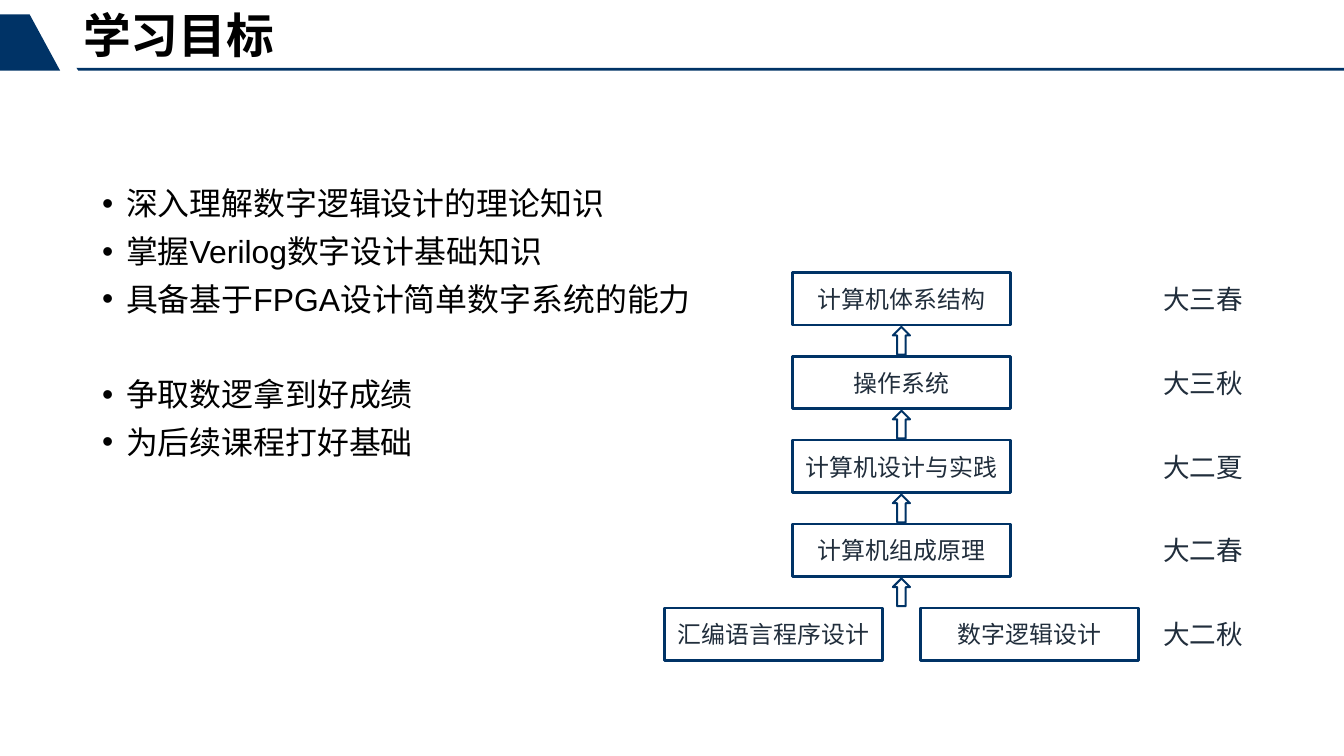
from lxml import etree
from pptx import Presentation
from pptx.dml.color import RGBColor
from pptx.enum.shapes import MSO_SHAPE as Shape
from pptx.enum.text import MSO_ANCHOR as Anchor, MSO_AUTO_SIZE as AutoSize, PP_ALIGN as Align
from pptx.oxml.ns import qn
from pptx.util import Inches, Pt

NAVY = RGBColor(0x00, 0x33, 0x66)
INK = RGBColor(0x21, 0x2E, 0x3C)
BLACK = RGBColor(0x00, 0x00, 0x00)
WHITE = RGBColor(0xFF, 0xFF, 0xFF)
CJK_FONT = "Noto Sans CJK SC"
SLIDE_W, SLIDE_H = 14.06, 7.91

# Goals in groups, separated by a wider gap
GOALS = [
    ["深入理解数字逻辑设计的理论知识", "掌握Verilog数字设计基础知识", "具备基于FPGA设计简单数字系统的能力"],
    ["争取数逻拿到好成绩", "为后续课程打好基础"],
]
# Semesters from latest to earliest, with their courses
COURSES = [
    ("大三春", ["计算机体系结构"]),
    ("大三秋", ["操作系统"]),
    ("大二夏", ["计算机设计与实践"]),
    ("大二春", ["计算机组成原理"]),
    ("大二秋", ["汇编语言程序设计", "数字逻辑设计"]),
]


def write(paragraph, text, size, font="Arial", color=INK, bold=False,
          align=Align.LEFT, spacing=1.0, before=0):
    paragraph.alignment = align
    paragraph.line_spacing = spacing
    paragraph.space_before = Pt(before)
    run = paragraph.add_run()
    run.text = text
    run.font.size = Pt(size)
    run.font.name = font
    run.font.bold = bold
    run.font.color.rgb = color
    east_asian = etree.SubElement(run.font._element, qn("a:ea"))
    east_asian.set("typeface", CJK_FONT)


def set_bullet(paragraph, indent=0.25):
    props = paragraph._p.get_or_add_pPr()
    props.set("marL", str(Inches(indent)))
    props.set("indent", str(-Inches(indent)))
    etree.SubElement(props, qn("a:buFont")).set("typeface", "Arial")
    etree.SubElement(props, qn("a:buChar")).set("char", "•")


def add_outline(slide, points):
    builder = slide.shapes.build_freeform(Inches(points[0][0]), Inches(points[0][1]))
    builder.add_line_segments([(Inches(x), Inches(y)) for x, y in points[1:]], close=True)
    outline = builder.convert_to_shape()
    outline.shadow.inherit = False
    outline.fill.solid()
    outline.fill.fore_color.rgb = NAVY
    outline.line.fill.background()


def add_header(slide, left, top, width, height):
    bottom = top + height
    # Rule and slanted tab
    add_outline(slide, [(left + 0.8, bottom - 0.03), (left + width, bottom - 0.03),
                        (left + width, bottom), (left + 0.82, bottom)])
    add_outline(slide, [(left, top), (left + 0.31, top), (left + 0.63, bottom), (left, bottom)])
    # Title
    title = slide.shapes.title
    title.left, title.top = Inches(left + 0.77), Inches(top - 0.07)
    title.width, title.height = Inches(9), Inches(1.25)
    frame = title.text_frame
    frame.auto_size = AutoSize.NONE
    frame.vertical_anchor = Anchor.TOP
    write(frame.paragraphs[0], "学习目标", 36, color=BLACK, bold=True, spacing=0.9)


def add_goals(slide, left, top, width, height):
    frame = slide.shapes.add_textbox(
        Inches(left), Inches(top), Inches(width), Inches(height)).text_frame
    frame.word_wrap = True
    paragraph = None
    for group_index, group in enumerate(GOALS):
        for index, goal in enumerate(group):
            paragraph = frame.add_paragraph() if paragraph else frame.paragraphs[0]
            group_start = group_index > 0 and index == 0
            write(paragraph, goal, 24, color=BLACK, spacing=0.9, before=46 if group_start else 10)
            set_bullet(paragraph)


def add_outlined(slide, kind, left, top, width, height, line_width):
    shape = slide.shapes.add_shape(
        kind, Inches(left), Inches(top), Inches(width), Inches(height))
    shape.shadow.inherit = False
    shape.fill.background()
    shape.line.color.rgb = NAVY
    shape.line.width = Pt(line_width)
    return shape


def add_course(slide, name, left, top, width, height):
    course = add_outlined(slide, Shape.RECTANGLE, left, top, width, height, 2)
    course.fill.solid()
    course.fill.fore_color.rgb = WHITE
    white = course.fill._xPr.find(qn("a:solidFill"))[0]
    etree.SubElement(white, qn("a:alpha")).set("val", "50000")
    course.text_frame.vertical_anchor = Anchor.MIDDLE
    write(course.text_frame.paragraphs[0], name, 18, align=Align.CENTER)


def add_roadmap(slide, left, top, width, height):
    course_w, course_h, step = 2.28, 0.55, 2.68
    arrow_w, arrow_h = 0.18, 0.29
    label_w = 1.04
    center = left + (step + course_w) / 2
    pitch = (height - course_h) / (len(COURSES) - 1)
    for row, (semester, names) in enumerate(COURSES):
        row_top = top + row * pitch
        # Courses, centred as a row
        first = center - (course_w + (len(names) - 1) * step) / 2
        for column, name in enumerate(names):
            add_course(slide, name, first + column * step, row_top, course_w, course_h)
        # Arrow to the course above
        if row:
            add_outlined(slide, Shape.UP_ARROW, center - arrow_w / 2,
                         row_top - pitch + course_h + 0.02, arrow_w, arrow_h, 1.5)
        # Semester
        label = slide.shapes.add_textbox(Inches(left + width - label_w), Inches(row_top),
                                         Inches(label_w), Inches(course_h))
        label.text_frame.vertical_anchor = Anchor.MIDDLE
        label.text_frame.word_wrap = True
        write(label.text_frame.paragraphs[0], semester, 20, font=CJK_FONT)


def main():
    deck = Presentation()
    deck.slide_width, deck.slide_height = Inches(SLIDE_W), Inches(SLIDE_H)
    slide = deck.slides.add_slide(deck.slide_layouts[5])
    add_header(slide, 0, 0.15, SLIDE_W, 0.59)
    add_goals(slide, 0.97, 1.92, 9, 4.95)
    add_roadmap(slide, 6.95, 2.85, 6.16, 4.06)
    deck.save("out.pptx")


if __name__ == "__main__":
    main()
